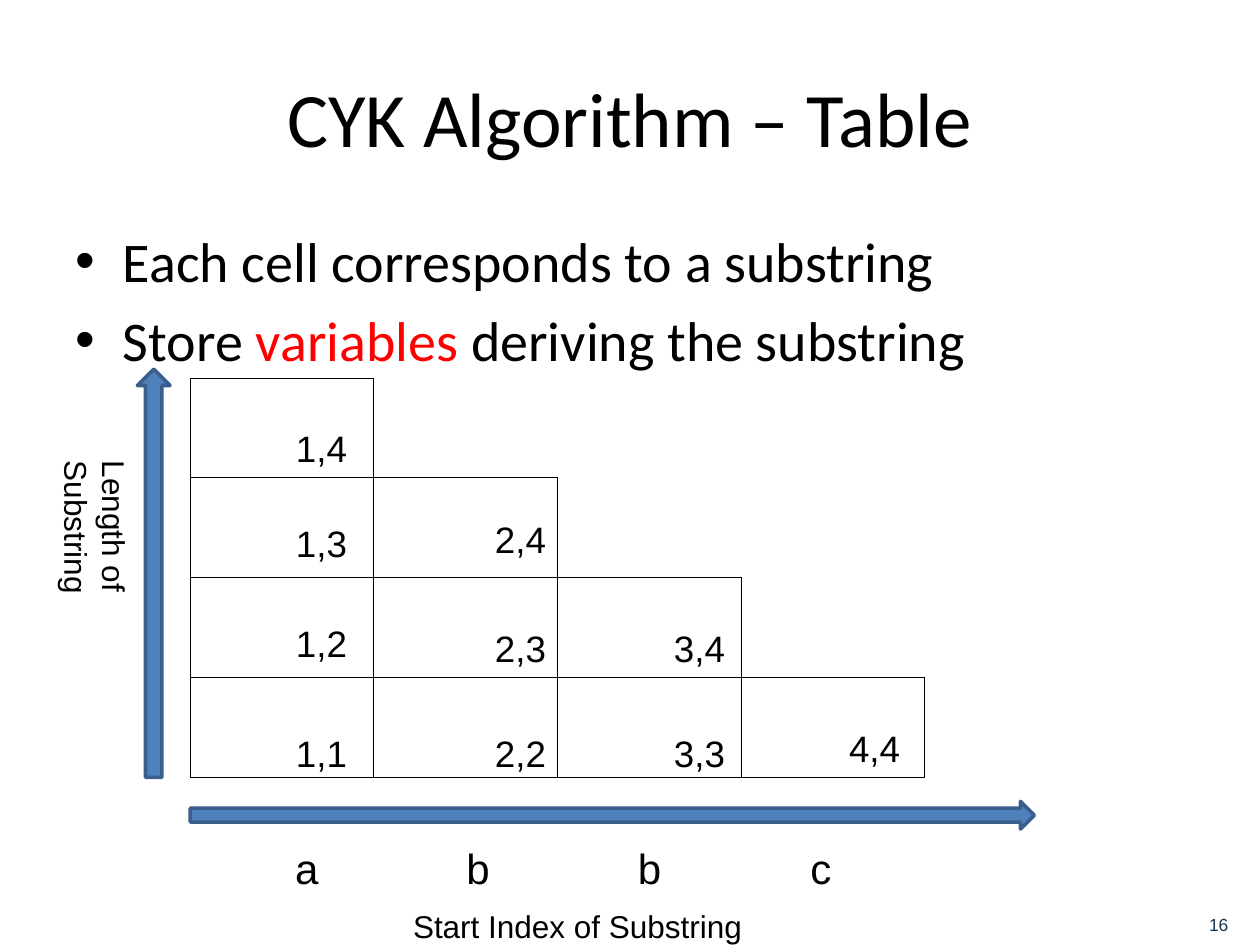
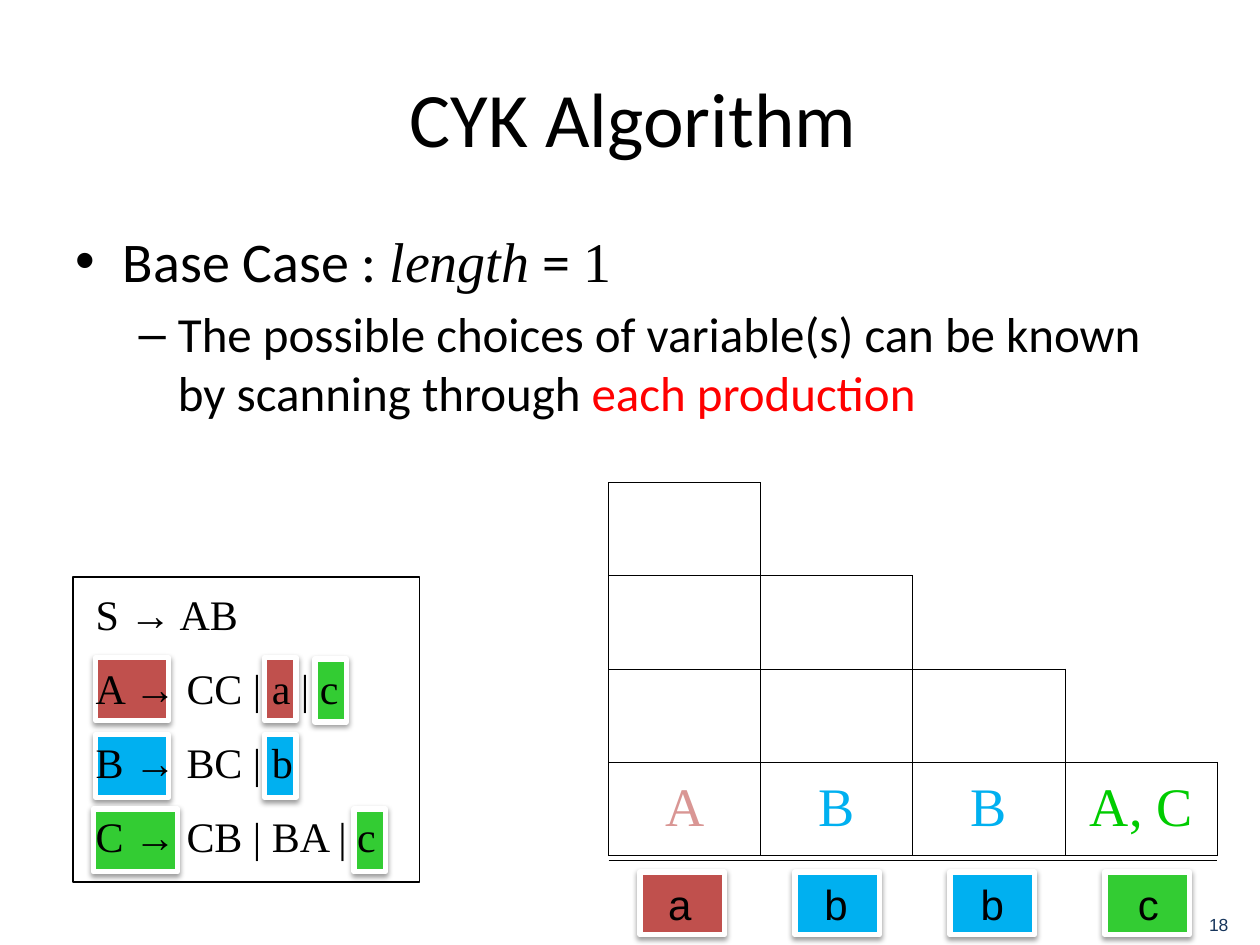
from dataclasses import dataclass

from lxml import etree
from pptx import Presentation
from pptx.dml.color import RGBColor
from pptx.enum import shapes, text
from pptx.oxml import ns
from pptx.util import Inches, Pt


@dataclass(frozen=True)
class Theme:
    black: str = "000000"
    white: str = "FFFFFF"
    accent: str = "FF0000"
    arrow: str = "4F81BD"
    arrow_line: str = "3A5F8C"
    page: str = "17365C"
    red: str = "C0504D"
    pink: str = "D99694"
    blue: str = "00B0F0"
    green: str = "33CC33"
    bright_green: str = "00CC00"
    heading: str = "Calibri"
    label: str = "Arial"
    math: str = "Times New Roman"
    title_pt: int = 44
    body_pt: tuple = (32, 28)
    variable_pt: int = 31
    letter_pt: int = 24
    index_pt: int = 21
    caption_pt: int = 18
    page_pt: int = 10


T = Theme()
N = 4  # length of the input string
STRING = "abbc"


def rgb(value):
    return RGBColor.from_string(value)


def inches(*box):
    return [Inches(v) for v in box]


def style(font, name=None, size=None, color=None, italic=None):
    if name:
        font.name = name
    if size:
        font.size = Pt(size)
    if color:
        font.color.rgb = rgb(color)
    if italic is not None:
        font.italic = italic


def add_text(slide, box, lines, size, name=T.label, color=T.black,
             align=text.PP_ALIGN.LEFT, wrap=True, gap=0):
    """Add a text box with one paragraph for each line."""
    sp = slide.shapes.add_textbox(*inches(*box))
    tf = sp.text_frame
    tf.word_wrap = wrap
    tf.auto_size = text.MSO_AUTO_SIZE.SHAPE_TO_FIT_TEXT
    for i, line in enumerate(lines):
        p = tf.paragraphs[0] if i == 0 else tf.add_paragraph()
        p.text = line
        p.alignment = align
        if i:
            p.space_before = Pt(gap)
        style(p.font, name, size, color)
    return sp


def add_shape(slide, kind, box, fill, line, width):
    sp = slide.shapes.add_shape(kind, *inches(*box))
    sp.shadow.inherit = False
    if fill:
        sp.fill.solid()
        sp.fill.fore_color.rgb = rgb(fill)
    else:
        sp.fill.background()
    sp.line.color.rgb = rgb(line)
    sp.line.width = Pt(width)
    return sp


def add_highlight(slide, box, fill):
    """Add a coloured rectangle with a white edge and a soft shadow."""
    sp = add_shape(slide, shapes.MSO_SHAPE.RECTANGLE, box, fill, T.white, 3)
    effects = sp._element.spPr.find(ns.qn("a:effectLst"))
    shadow = etree.SubElement(effects, ns.qn("a:outerShdw"), blurRad=str(Pt(3.1)),
                              dist=str(Pt(1.6)), dir="5400000", rotWithShape="0")
    color = etree.SubElement(shadow, ns.qn("a:srgbClr"), val=T.black)
    etree.SubElement(color, ns.qn("a:alpha"), val="38000")


def set_border(cell, side, position, visible):
    ln = etree.Element(ns.qn(f"a:ln{side}"), w=str(Pt(0.5)))
    if visible:
        fill = etree.SubElement(ln, ns.qn("a:solidFill"))
        etree.SubElement(fill, ns.qn("a:srgbClr"), val=T.black)
    else:
        etree.SubElement(ln, ns.qn("a:noFill"))
    cell._tc.get_or_add_tcPr().insert(position, ln)


def add_staircase(slide, box):
    """Add the triangular table: row r has r + 1 outlined cells."""
    table = slide.shapes.add_table(N, N, *inches(*box)).table
    table.first_row = table.horz_banding = False
    neighbours = {"L": (0, -1), "R": (0, 1), "T": (-1, 0), "B": (1, 0)}
    for r in range(N):
        for c in range(N):
            cell = table.cell(r, c)
            cell.fill.background()
            for i, (side, (dr, dc)) in enumerate(neighbours.items()):
                set_border(cell, side, i, c <= r or c + dc <= r + dr)


def add_letters(slide, box, step):
    """Write the input string, one letter every step, from the first box."""
    left, top, width, height = box
    for i, letter in enumerate(STRING):
        add_text(slide, (left + i * step, top, width, height), [letter],
                 T.letter_pt, align=text.PP_ALIGN.CENTER)


def add_base(prs, title, title_box, body, body_box):
    """Add a slide; body holds (level, runs), and a run is (text, font changes)."""
    slide = prs.slides.add_slide(prs.slide_layouts[1])
    for sp, box in zip(slide.placeholders, (title_box, body_box)):
        sp.left, sp.top, sp.width, sp.height = inches(*box)
    slide.shapes.title.text = title
    p = slide.shapes.title.text_frame.paragraphs[0]
    style(p.font, T.heading, T.title_pt, T.black)
    tf = slide.placeholders[1].text_frame
    for i, (level, runs) in enumerate(body):
        p = tf.paragraphs[0] if i == 0 else tf.add_paragraph()
        p.level = level
        if i == 0:
            p.space_before = Pt(0)
        style(p.font, T.heading, T.body_pt[level], T.black)
        for words, changes in runs:
            r = p.add_run()
            r.text = words
            style(r.font, **changes)
    return slide


def add_page_number(slide, number):
    sp = add_text(slide, (8.92, 7.02, 0.83, 0.4), [str(number)], T.page_pt,
                  color=T.page, align=text.PP_ALIGN.RIGHT)
    tf = sp.text_frame
    tf.auto_size = text.MSO_AUTO_SIZE.NONE
    tf.vertical_anchor = text.MSO_ANCHOR.BOTTOM
    tf.margin_left = tf.margin_right = tf.margin_top = tf.margin_bottom = 0


def add_index_labels(slide, left, top):
    """Label each cell with the start and end of its substring."""
    columns = [(0.74, (2.75, 1.88, 1.08, 0.33)), (2.32, (2.75, 1.92, 1.05)),
               (3.74, (2.75, 1.92)), (5.13, (2.71,))]
    for start, (dx, offsets) in enumerate(columns, 1):
        for end, dy in enumerate(offsets, start):
            add_text(slide, (left + dx, top + dy, 0.61, 0.45),
                     [f"{start},{end}"], T.index_pt, wrap=False)


def add_axes(slide, left, top):
    """Add the arrows and captions around the table at left, top."""
    for kind, box in (
            (shapes.MSO_SHAPE.RIGHT_ARROW, (left, top + 3.36, 6.7, 0.22)),
            (shapes.MSO_SHAPE.UP_ARROW, (left - 0.42, top - 0.07, 0.26, 3.24))):
        add_shape(slide, kind, box, T.arrow, T.arrow_line, 2)
    add_letters(slide, (left, top + 3.64, 1.85, 0.5), 1.36)
    add_text(slide, (left + 1.67, top + 4.15, 4.26, 0.4),
             ["Start Index of Substring"], T.caption_pt)
    length = add_text(slide, (left - 0.9, top + 0.56, 0.5, 2.36),
                      ["Length of Substring"], T.caption_pt)
    length.text_frame._txBody.bodyPr.set("vert", "eaVert")


def add_grammar(slide, left, top):
    """Add the framed productions over the highlights of their terminals."""
    highlights = [(T.green, 1.92, 0.65, 0.25),
                  (T.red, 0.18, 0.64, 0.58), (T.red, 1.52, 0.64, 0.25),
                  (T.blue, 0.18, 1.25, 0.58), (T.blue, 1.52, 1.25, 0.25),
                  (T.green, 0.16, 1.84, 0.67), (T.green, 2.23, 1.84, 0.25)]
    for color, dx, dy, width in highlights:
        add_highlight(slide, (left + dx, top + dy, width, 0.5), color)
    productions = ["S → AB", "A → CC | a | c", "B → BC | b", "C → CB | BA | c"]
    add_text(slide, (left + 0.08, top + 0.04, 2.59, 2.32), productions,
             T.letter_pt, T.math, gap=13.5)
    add_shape(slide, shapes.MSO_SHAPE.RECTANGLE, (left, top, 2.75, 2.42),
              None, T.black, 0.75)


def add_base_row(slide, left, top, width):
    """Fill the bottom row of the table and show the input below it."""
    step = width / N
    variables = [("A", T.pink), ("B", T.blue), ("B", T.blue),
                 ("A, C", T.bright_green)]
    for i, (variable, color) in enumerate(variables):
        add_text(slide, (left + i * step, top + 2.25, step, 0.62), [variable],
                 T.variable_pt, T.math, color, text.PP_ALIGN.CENTER)
    line = slide.shapes.add_connector(
        shapes.MSO_CONNECTOR.STRAIGHT,
        *inches(left, top + 3, left + width, top + 3))
    line.line.color.rgb = rgb(T.black)
    line.line.width = Pt(0.75)
    etree.SubElement(line._element.spPr, ns.qn("a:effectLst"))
    for i, color in enumerate((T.red, T.blue, T.blue, T.green)):
        add_highlight(slide, (left + 0.25 + i * 1.23, top + 3.09, 0.67, 0.5), color)
    add_letters(slide, (left, top + 3.09, 1.13, 0.5), 1.24)


def add_table_slide(prs):
    body = [(0, [("Each cell corresponds to a substring", {})]),
            (0, [("Store ", {}), ("variables", {"color": T.accent}),
                 (" deriving the substring", {})])]
    slide = add_base(prs, "CYK Algorithm – Table", (0.5, 0.3, 9, 1.25),
                     body, (0.5, 1.75, 9.08, 5.42))
    left, top = 1.51, 3
    add_staircase(slide, (left, top, 5.83, 3.17))
    add_axes(slide, left, top)
    add_index_labels(slide, left, top)
    add_page_number(slide, 16)


def add_base_case_slide(prs):
    body = [(0, [("Base Case : ", {}), ("length", {"name": T.math, "italic": True}),
                 (" = ", {}), ("1", {"name": T.math})]),
            (1, [("The possible choices of variable(s) can be known by "
                  "scanning through ", {}),
                 ("each production", {"color": T.accent})])]
    slide = add_base(prs, "CYK Algorithm", (0.5, 0.3, 9.05, 1.25),
                     body, (0.5, 1.75, 9, 4.95))
    left, top, width = 4.83, 3.83, 4.83
    add_grammar(slide, 0.58, 4.58)
    add_staircase(slide, (left, top, width, 2.96))
    add_base_row(slide, left, top, width)
    add_page_number(slide, 18)


def main():
    prs = Presentation()
    prs.slide_width, prs.slide_height = inches(10, 7.5)
    add_table_slide(prs)
    add_base_case_slide(prs)
    prs.save("out.pptx")


if __name__ == "__main__":
    main()
